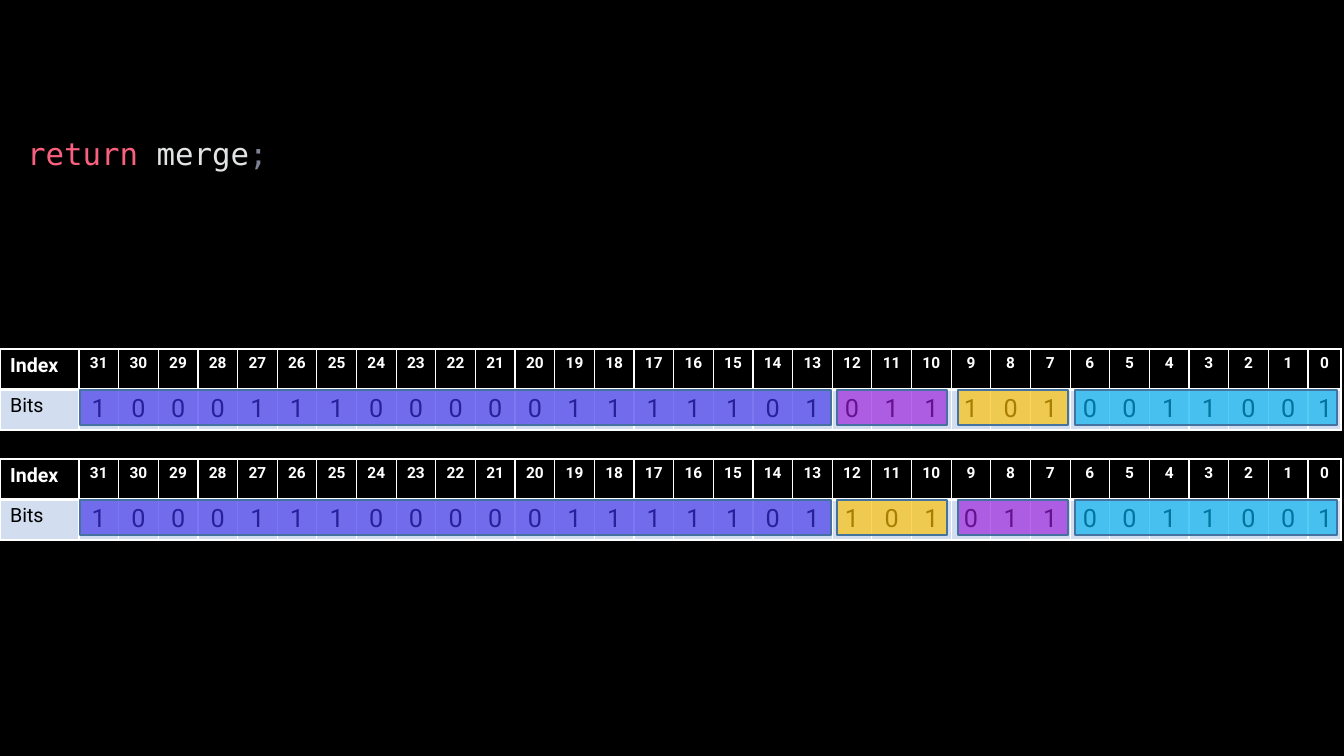
from lxml import etree
from pptx import Presentation
from pptx.dml.color import RGBColor
from pptx.enum.shapes import MSO_SHAPE
from pptx.enum.text import MSO_ANCHOR, MSO_AUTO_SIZE, PP_ALIGN
from pptx.oxml.ns import qn
from pptx.util import Pt

RECTANGLE = MSO_SHAPE.RECTANGLE
MIDDLE = MSO_ANCHOR.MIDDLE
NO_AUTOFIT = MSO_AUTO_SIZE.NONE
LEFT, CENTER = PP_ALIGN.LEFT, PP_ALIGN.CENTER

EMU_PER_PX = 914400 / 100.8
BIT_COUNT = 32
LABEL_WIDTH, WIDE_BITS_WIDTH, LAST_BIT_WIDTH = 79, 1230, 33
TABLE_HEIGHT = 81
BLOCK_OFFSET, BLOCK_HEIGHT = 41, 35

BLACK, WHITE = "000000", "FFFFFF"
PALE_BLUE, OUTLINE = "D2DEEF", "43739E"

# Bits and colour of each field
HIGH = ("1000111000001111101", "3E32EB")
PURPLE = ("011", "9B1BDB")
YELLOW = ("101", "FFC000")
LOW = ("0011001", "00B0F0")
BLOCK_SPANS = [(80, 751), (837, 110), (958, 110), (1075, 262)]


def px(length):
    return round(length * EMU_PER_PX)


def color(value):
    return RGBColor.from_string(value)


def add_text(paragraph, text, *, size, font, fill, bold=False, align=LEFT):
    paragraph.alignment = align
    run = paragraph.add_run()
    run.text = text
    run.font.size = Pt(size)
    run.font.name = font
    run.font.bold = bold
    run.font.color.rgb = color(fill)


class BitSlide:
    """Style and current slide of the bit-field drawing."""

    code_font = "DejaVu Sans Mono"
    table_font = "Roboto"
    code_size, label_size, index_size, bit_size = 22, 14, 11, 18

    def __init__(self, presentation):
        self.slide = presentation.slides.add_slide(presentation.slide_layouts[5])
        background = self.slide.background.fill
        background.solid()
        background.fore_color.rgb = color(BLACK)

    def code_title(self, parts, left, top, width, height):
        title = self.slide.shapes.title
        title.left, title.top = px(left), px(top)
        title.width, title.height = px(width), px(height)
        frame = title.text_frame
        frame.word_wrap = True
        frame.auto_size = NO_AUTOFIT
        frame.vertical_anchor = MIDDLE
        paragraph = frame.paragraphs[0]
        paragraph.line_spacing = 0.9
        for text, fill in parts:
            add_text(paragraph, text, size=self.code_size, font=self.code_font, fill=fill)

    def cell(self, cell, text, *, background, bottom_border, **text_format):
        properties = cell._tc.get_or_add_tcPr()
        for side, points in (("L", 1), ("R", 1), ("T", 1), ("B", bottom_border)):
            line = etree.SubElement(properties, qn(f"a:ln{side}"), w=str(Pt(points)))
            solid = etree.SubElement(line, qn("a:solidFill"))
            etree.SubElement(solid, qn("a:srgbClr"), val=WHITE)
        cell.fill.solid()
        cell.fill.fore_color.rgb = color(background)
        add_text(cell.text_frame.paragraphs[0], text, font=self.table_font, **text_format)

    def bit_table(self, top, bits):
        width = LABEL_WIDTH + WIDE_BITS_WIDTH + LAST_BIT_WIDTH
        table = self.slide.shapes.add_table(
            2, BIT_COUNT + 1, 0, px(top), px(width), px(TABLE_HEIGHT)).table
        bit_width = WIDE_BITS_WIDTH / (BIT_COUNT - 1)
        widths = [LABEL_WIDTH] + [bit_width] * (BIT_COUNT - 1) + [LAST_BIT_WIDTH]
        for column, column_width in zip(table.columns, widths):
            column.width = px(column_width)

        indices = [str(index) for index in reversed(range(BIT_COUNT))]
        header = dict(background=BLACK, bottom_border=3, fill=WHITE, bold=True)
        body = dict(background=PALE_BLUE, bottom_border=1, fill=BLACK)
        rows = [("Index", indices, self.index_size, header),
                ("Bits", bits, self.bit_size, body)]
        for row, (label, values, size, style) in enumerate(rows):
            self.cell(table.cell(row, 0), label, size=self.label_size, **style)
            for column, value in enumerate(values, start=1):
                self.cell(table.cell(row, column), value, size=size, align=CENTER, **style)

    def block(self, left, top, width, height, fill):
        shape = self.slide.shapes.add_shape(
            RECTANGLE, px(left), px(top), px(width), px(height))
        shape.shadow.inherit = False
        shape.fill.solid()
        shape.fill.fore_color.rgb = color(fill)
        fill_color = shape._element.spPr.find(qn("a:solidFill"))[0]
        etree.SubElement(fill_color, qn("a:alpha"), val="66000")
        shape.line.color.rgb = color(OUTLINE)
        shape.line.width = Pt(1)

    def bit_register(self, top, fields):
        """Draw a table of bits with a translucent block over each field."""
        self.bit_table(top, "".join(bits for bits, _ in fields))
        for (left, width), (_, fill) in zip(BLOCK_SPANS, fields):
            self.block(left, top + BLOCK_OFFSET, width, BLOCK_HEIGHT, fill)


def main():
    presentation = Presentation()
    presentation.slide_width, presentation.slide_height = px(1344), px(756)
    slide = BitSlide(presentation)
    slide.code_title(
        [("return", "FB617E"), (" merge", "E1E3E4"), (";", "7E8294")],
        17, 40, 1319, 232)
    slide.bit_register(459, [HIGH, YELLOW, PURPLE, LOW])
    slide.bit_register(349, [HIGH, PURPLE, YELLOW, LOW])
    presentation.save("out.pptx")


if __name__ == "__main__":
    main()
